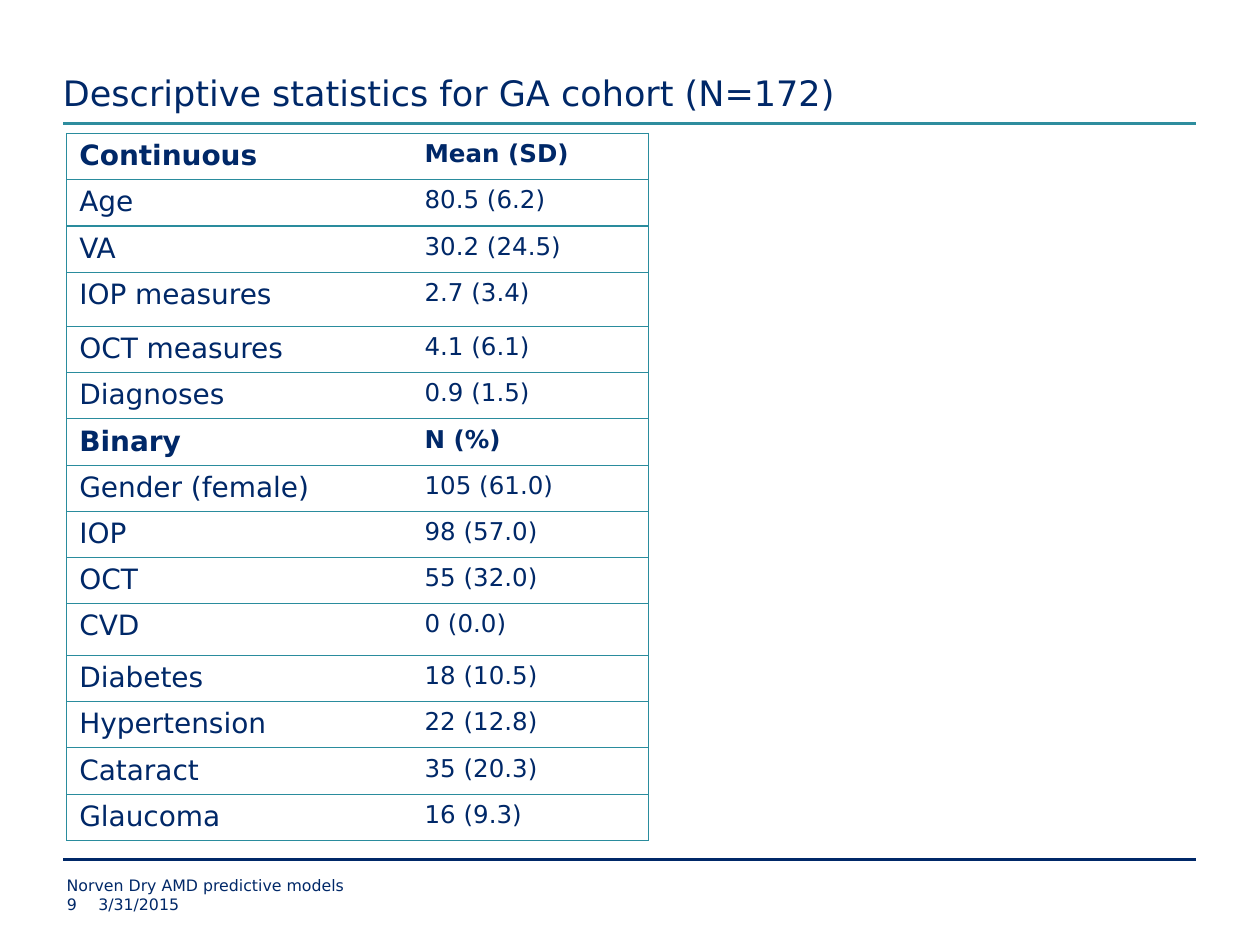
from lxml import etree
from pptx import Presentation
from pptx.dml.color import RGBColor
from pptx.enum import shapes, text
from pptx.oxml import ns
from pptx.util import Inches, Pt

NAVY, TEAL, BORDER, WHITE = "002868", "2E8D9E", "2A8C9D", "FFFFFF"


def color(value):
    return RGBColor.from_string(value)


def write(frame, content, size, bold=False):
    frame.text = content
    font = frame.paragraphs[0].runs[0].font
    font.name = "DejaVu Sans"
    font.size = Pt(size)
    font.bold = bold
    font.color.rgb = color(NAVY)


deck = Presentation()
deck.slide_width, deck.slide_height = Inches(10), Inches(7.5)
page = deck.slides.add_slide(deck.slide_layouts[6])

for y, shade in [(0.98, TEAL), (6.82, NAVY)]:
    rule = page.shapes.add_connector(
        shapes.MSO_CONNECTOR.STRAIGHT, Inches(0.5), Inches(y), Inches(9.49), Inches(y))
    rule.line.color.rgb = color(shade)
    rule.line.width = Pt(1.5)
    etree.SubElement(rule._element.spPr, ns.qn("a:effectLst"))

labels = [
    ("Descriptive statistics for GA cohort (N=172)", 0.5, 0, 9, 0.9, 20, text.MSO_ANCHOR.BOTTOM),
    ("3/31/2015", 0.78, 7.1, 7.25, 0.15, 9, text.MSO_ANCHOR.TOP),
    ("Norven Dry AMD predictive models", 0.53, 6.95, 7.5, 0.15, 9, text.MSO_ANCHOR.TOP),
    ("9", 0.53, 7.1, 0.25, 0.15, 9, text.MSO_ANCHOR.TOP),
]
for content, left, top, width, height, size, anchor in labels:
    box = page.shapes.add_textbox(Inches(left), Inches(top), Inches(width), Inches(height))
    frame = box.text_frame
    frame.margin_left = frame.margin_top = frame.margin_right = frame.margin_bottom = 0
    frame.word_wrap = True
    frame.vertical_anchor = anchor
    write(frame, content, size)

statistics = [
    ("Continuous", "Mean (SD)"),
    ("Age", "80.5 (6.2)"),
    ("VA", "30.2 (24.5)"),
    ("IOP measures", "2.7 (3.4)"),
    ("OCT measures", "4.1 (6.1)"),
    ("Diagnoses", "0.9 (1.5)"),
    ("Binary", "N (%)"),
    ("Gender (female)", "105 (61.0)"),
    ("IOP", "98 (57.0)"),
    ("OCT", "55 (32.0)"),
    ("CVD", "0 (0.0)"),
    ("Diabetes", "18 (10.5)"),
    ("Hypertension", "22 (12.8)"),
    ("Cataract", "35 (20.3)"),
    ("Glaucoma", "16 (9.3)"),
]
headings = ("Continuous", "Binary")
tall_rows = {"IOP measures": 0.43, "CVD": 0.41}
row_heights = [Inches(tall_rows.get(name, 0.35)) for name, value in statistics]
table = page.shapes.add_table(
    len(statistics), 2, Inches(0.53), Inches(1.06), Inches(4.62), sum(row_heights)).table
table.columns[0].width = Inches(2.74)
table.columns[1].width = Inches(1.88)

for row, entry in enumerate(statistics):
    table.rows[row].height = row_heights[row]
    for column, content in enumerate(entry):
        cell = table.cell(row, column)
        write(cell.text_frame, content, (16, 14)[column], entry[0] in headings)
        properties = cell._tc.get_or_add_tcPr()
        hidden_side = ("lnR", "lnL")[column]
        for side in ("lnL", "lnR", "lnT", "lnB"):
            edge = etree.SubElement(properties, ns.qn(f"a:{side}"), w=str(Pt(0.75)))
            if side == hidden_side:
                etree.SubElement(edge, ns.qn("a:noFill"))
            else:
                paint = etree.SubElement(edge, ns.qn("a:solidFill"))
                etree.SubElement(paint, ns.qn("a:srgbClr"), val=BORDER)
        cell.fill.solid()
        cell.fill.fore_color.rgb = color(WHITE)

deck.save("out.pptx")
